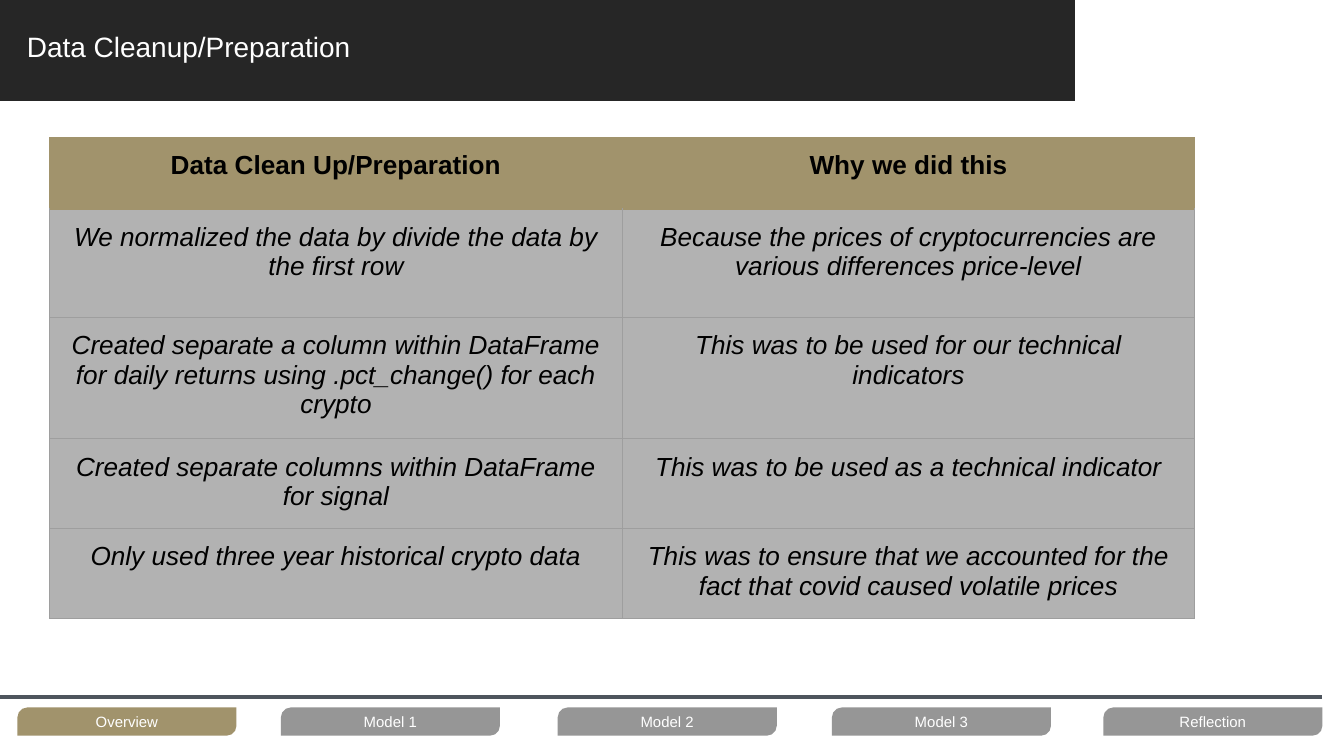
from dataclasses import dataclass

from lxml.etree import SubElement
from pptx import Presentation
from pptx.dml.color import RGBColor
from pptx.enum.shapes import MSO_CONNECTOR as Connector, MSO_SHAPE as Shape
from pptx.enum.text import MSO_ANCHOR as Anchor, PP_ALIGN as Align
from pptx.oxml.ns import qn
from pptx.util import Inches, Pt


@dataclass(frozen=True)
class Theme:
    """Colours, font and type sizes of the slide."""
    font: str = "Arial"
    white: str = "FFFFFF"
    black: str = "000000"
    band: str = "262626"
    gold: str = "A1936C"
    tab: str = "969696"
    cell: str = "B2B2B2"
    border: str = "9E9E9E"
    rule: str = "4E555D"
    title_size: float = 15
    table_size: float = 14
    tab_size: float = 8
    border_width: float = 0.75
    rule_width: float = 2.25


@dataclass(frozen=True)
class Box:
    """A rectangle in columns and rows of a grid with ten cells to the inch."""
    left: float
    top: float
    width: float
    height: float

    def inside(self, left, top, width, height):
        """Return a box offset from this one."""
        return Box(self.left + left, self.top + top, width, height)

    def place(self):
        """Return left, top, width and height as lengths."""
        return [grid(cells) for cells in (self.left, self.top, self.width, self.height)]


THEME = Theme()
TABS = [("Overview", 0), ("Model 1", 19.6), ("Model 2", 40.2),
        ("Model 3", 60.6), ("Reflection", 80.8)]
HEADINGS = ("Data Clean Up/Preparation", "Why we did this")
STEPS = [
    ("We normalized the data by divide the data by the first row",
     "Because the prices of cryptocurrencies are various differences price-level"),
    ("Created separate a column within DataFrame for daily returns using "
     ".pct_change() for each crypto",
     "This was to be used for our technical indicators"),
    ("Created separate columns within DataFrame for signal",
     "This was to be used as a technical indicator"),
    ("Only used three year historical crypto data",
     "This was to ensure that we accounted for the fact that covid caused volatile prices"),
]
COLUMN_WIDTH = 42.6
ROW_HEIGHTS = (5.3, 8.1, 5.3, 5.3, 5.3)


def grid(cells):
    """Turn grid cells into a length."""
    return Inches(cells / 10)


def color(value):
    """Turn a hex value into a colour."""
    return RGBColor.from_string(value)


def write(frame, text, size, ink, align, bold=False, italic=False):
    """Write one run in the first paragraph of a text frame."""
    frame.word_wrap = True
    paragraph = frame.paragraphs[0]
    paragraph.alignment = align
    run = paragraph.add_run()
    run.text = text
    font = run.font
    font.name, font.size, font.bold, font.italic = THEME.font, Pt(size), bold, italic
    font.color.rgb = color(ink)
    return paragraph


def set_margins(holder, horizontal, vertical):
    """Set the inner margins of a text frame or table cell."""
    holder.margin_left = holder.margin_right = Inches(horizontal)
    holder.margin_top = holder.margin_bottom = Inches(vertical)


def add_block(slide, kind, box, fill, adjustment):
    """Add a filled shape without outline or shadow."""
    shape = slide.shapes.add_shape(kind, *box.place())
    shape.adjustments[0] = adjustment
    shape.shadow.inherit = False
    shape.fill.solid()
    shape.fill.fore_color.rgb = color(fill)
    shape.line.fill.background()
    return shape


def add_header(slide, box):
    """Draw the dark band and the slide title."""
    add_block(slide, Shape.PARALLELOGRAM, box, THEME.band, 0)
    title = slide.shapes.add_textbox(*box.inside(1.3, 0.6, 75.6, 6).place())
    frame = title.text_frame
    frame.vertical_anchor = Anchor.MIDDLE
    set_margins(frame, 0.07, 0.04)
    paragraph = write(frame, "Data Cleanup/Preparation", THEME.title_size,
                      THEME.white, Align.LEFT)
    paragraph.line_spacing = 0.9


def set_borders(cell, value, top):
    """Outline a cell, with its own colour for the top edge."""
    properties = cell._tc.get_or_add_tcPr()
    edges = {"a:lnL": value, "a:lnR": value, "a:lnT": top, "a:lnB": value}
    for index, (tag, edge) in enumerate(edges.items()):
        line = SubElement(properties, qn(tag), w=str(Pt(THEME.border_width)))
        fill = SubElement(line, qn("a:solidFill"))
        SubElement(fill, qn("a:srgbClr"), val=edge)
        properties.remove(line)
        properties.insert(index, line)


def add_steps_table(slide, box):
    """Draw the table of preparation steps and reasons."""
    rows = [HEADINGS, *STEPS]
    holder = slide.shapes.add_table(len(rows), len(HEADINGS), *box.place())
    table = holder.table
    for column in table.columns:
        column.width = grid(COLUMN_WIDTH)
    for index, (texts, height) in enumerate(zip(rows, ROW_HEIGHTS)):
        table.rows[index].height = grid(height)
        heading = index == 0
        for cell, text in zip(table.rows[index].cells, texts):
            set_margins(cell, 0.1, 0.1)
            cell.fill.solid()
            cell.fill.fore_color.rgb = color(THEME.gold if heading else THEME.cell)
            set_borders(cell, THEME.gold if heading else THEME.border,
                        THEME.gold if index < 2 else THEME.border)
            write(cell.text_frame, text, THEME.table_size, THEME.black, Align.CENTER,
                  bold=heading, italic=not heading)
    holder.width, holder.height = grid(box.width), grid(box.height)


def add_navigation(slide, box, current):
    """Draw the rule and the row of section tabs."""
    left, top, width, _ = box.place()
    rule = slide.shapes.add_connector(Connector.STRAIGHT, left, top, left + width, top)
    rule.line.color.rgb = color(THEME.rule)
    rule.line.width = Pt(THEME.rule_width)
    SubElement(rule._element.spPr, qn("a:effectLst"))
    for label, offset in TABS:
        tab = add_block(slide, Shape.ROUND_2_DIAG_RECTANGLE,
                        box.inside(1.3 + offset, 0.8, 16.3, 2.1),
                        THEME.gold if label == current else THEME.tab, 0.35)
        frame = tab.text_frame
        frame.vertical_anchor = Anchor.MIDDLE
        set_margins(frame, 0.06, 0.03)
        write(frame, label, THEME.tab_size, THEME.white, Align.CENTER)


def main():
    """Build and save the slide."""
    presentation = Presentation()
    presentation.slide_width, presentation.slide_height = grid(100), grid(56.25)
    slide = presentation.slides.add_slide(presentation.slide_layouts[6])
    add_header(slide, Box(0, 0, 80, 7.5))
    add_navigation(slide, Box(0, 51.84, 98.4, 2.9), "Overview")
    add_steps_table(slide, Box(3.7, 10.25, 32.8, 32.8))
    presentation.save("out.pptx")


if __name__ == "__main__":
    main()
